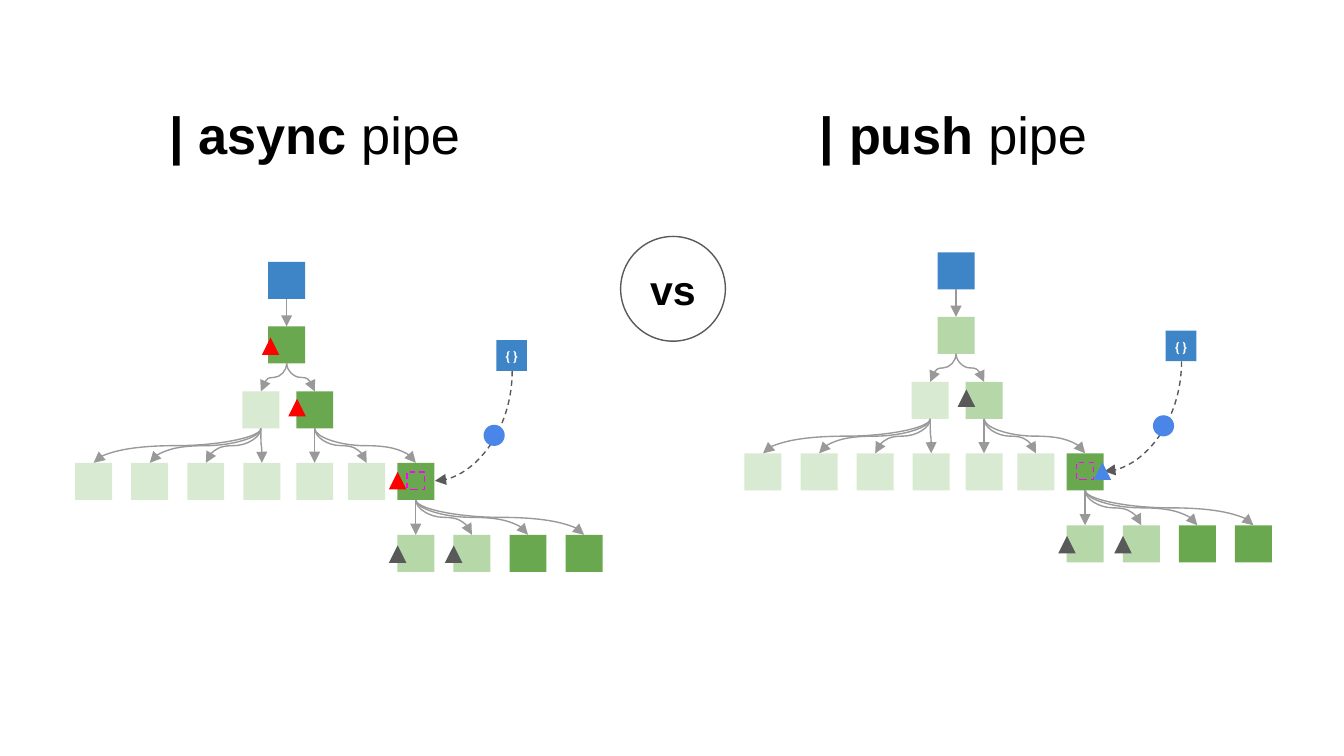
from lxml.etree import SubElement
from pptx import Presentation
from pptx.dml.color import RGBColor
from pptx.enum.dml import MSO_LINE as Dash
from pptx.enum.shapes import MSO_CONNECTOR as Link, MSO_SHAPE as Kind
from pptx.enum.text import MSO_ANCHOR as Anchor, PP_ALIGN as Align
from pptx.oxml.ns import qn
from pptx.util import Cm, Pt

HUES = {
    "white": "FFFFFF", "black": "000000", "gray": "999999", "dark": "595959",
    "pale": "D9EAD3", "light": "B6D7A8", "green": "6AA84F",
    "blue": "3D85C6", "sky": "4A86E8", "red": "FF0000", "pink": "FF00FF",
}
BOX = 0.7      # side of a tree node, cm
MARK = 0.33    # side of a triangle marker, cm
STEP = 1.06    # gap between sibling centres, cm
TOPS = [4.95, 6.17, 7.4, 8.75, 10.11]

# Node name: centre and level
NODES = {"root": (5.42, 0), "app": (5.42, 1), "left": (4.93, 2), "right": (5.95, 2)}
NODES |= {f"a{i}": (1.77 + i * STEP, 3) for i in range(4)}
NODES |= {"b0": (5.95, 3), "b1": (6.93, 3), "host": (7.86, 3)}
NODES |= {f"c{i}": (7.86 + i * STEP, 4) for i in range(4)}

KIDS = {
    "root": ["app"],
    "app": ["left", "right"],
    "left": ["a0", "a1", "a2", "a3"],
    "right": ["b0", "b1", "host"],
    "host": ["c0", "c1", "c2", "c3"],
}
FILLS = {"root": "blue", "host": "green", "c0": "light", "c1": "light",
         "c2": "green", "c3": "green"}


def tint(name):
    return RGBColor.from_string(HUES[name])


def write(shape, *runs, size, font="Arial", hue="black", pad=0.25,
          anchor=Anchor.MIDDLE, space=None):
    """Fill a shape with one centred line of (text, bold) runs."""
    frame = shape.text_frame
    frame.word_wrap = True
    frame.vertical_anchor = anchor
    frame.margin_left = frame.margin_right = Cm(pad)
    frame.margin_top = frame.margin_bottom = Cm(pad)
    para = frame.paragraphs[0]
    para.alignment = Align.CENTER
    if space:
        para.line_spacing = space
    for text, bold in runs:
        run = para.add_run()
        run.text = text
        run.font.size = Pt(size)
        run.font.name = font
        run.font.bold = bold
        run.font.color.rgb = tint(hue)


def head(shapes, x, word):
    box = shapes.add_textbox(Cm(x), Cm(1.68), Cm(10.08), Cm(1.96))
    write(box, (f"| {word} ", True), ("pipe", False), size=28, anchor=Anchor.TOP)


def draw(shapes, kind, x, y, side, fill, edge=None, dash=None):
    shape = shapes.add_shape(kind, Cm(x), Cm(y), Cm(side), Cm(side))
    shape.shadow.inherit = False
    shape.fill.solid()
    shape.fill.fore_color.rgb = tint(fill)
    if edge:
        shape.line.color.rgb = tint(edge)
        shape.line.width = Pt(0.75)
        shape.line.dash_style = dash
    else:
        shape.line.fill.background()
    return shape


def curve(shapes, x1, y1, x2, y2, hue="gray", dash=None, bend="curvedConnector3"):
    """Draw a curved arrow that leaves its start point straight down."""
    side = 1 if x2 >= x1 else -1
    midx, midy = (x1 + x2) / 2, (y1 + y2) / 2
    half, rise = side * (y2 - y1) / 2, abs(x2 - x1) / 2
    # The box lies on its side, then a quarter turn sets it upright
    line = shapes.add_connector(Link.CURVE, Cm(midx + half), Cm(midy - rise),
                                Cm(midx - half), Cm(midy + rise))
    line.line.color.rgb = tint(hue)
    line.line.width = Pt(0.75)
    line.line.dash_style = dash
    props = line._element.spPr
    props.find(qn("a:xfrm")).set("rot", str((270 if side > 0 else 90) * 60000))
    props.find(qn("a:prstGeom")).set("prst", bend)
    SubElement(props.find(qn("a:ln")), qn("a:tailEnd"), type="triangle")
    SubElement(props, qn("a:effectLst"))


def tree(shapes, dx, dy, fills):
    for name, (x, level) in NODES.items():
        draw(shapes, Kind.RECTANGLE, x - BOX / 2 + dx, TOPS[level] + dy, BOX,
             fills.get(name, "pale"))
    for name, kids in KIDS.items():
        x, level = NODES[name]
        for kid in kids:
            curve(shapes, x + dx, TOPS[level] + BOX + dy,
                  NODES[kid][0] + dx, TOPS[level + 1] + dy)


def panel(shapes, word, left, dx, dy, fills, marks):
    head(shapes, left, word)
    tree(shapes.add_group_shape().shapes, dx, dy, FILLS | fills)
    # Data source, its path and the value on the way
    curve(shapes, 9.68 + dx, 7.01 + dy, 8.22 + dx, 9.09 + dy, "dark",
          Dash.DASH, "curvedConnector2")
    draw(shapes, Kind.OVAL, 9.14 + dx, 8.03 + dy, 0.4, "sky")
    source = draw(shapes, Kind.RECTANGLE, 9.38 + dx, 6.43 + dy, 0.58, "blue")
    write(source, ("{ }", True), size=7, font="Roboto", hue="white", pad=0, space=1.15)
    # Bound part of the host, then the markers
    draw(shapes, Kind.RECTANGLE, 7.69 + dx, 8.92 + dy, MARK, "green", "pink", Dash.DASH)
    for x, y, hue in [(7.35, 10.31, "dark"), (8.41, 10.31, "dark"), *marks]:
        draw(shapes, Kind.ISOSCELES_TRIANGLE, x + dx, y + dy, MARK, hue)


def main():
    deck = Presentation()
    deck.slide_width, deck.slide_height = Cm(25.4), Cm(14.29)
    shapes = deck.slides.add_slide(deck.slide_layouts[6]).shapes

    # Left side
    panel(shapes, "async", 0.91, 0, 0, {"app": "green", "right": "green"},
          [(5.45, 7.54, "red"), (7.35, 8.92, "red"), (4.95, 6.38, "red")])
    # Right side
    panel(shapes, "push", 12.98, 12.65, -0.18, {"app": "light", "right": "light"},
          [(5.45, 7.54, "dark"), (8.02, 8.92, "sky")])
    # Badge between the two
    badge = draw(shapes, Kind.OVAL, 11.73, 4.47, 1.98, "white", "dark")
    write(badge, ("vs", True), size=22)

    deck.save("out.pptx")


if __name__ == "__main__":
    main()
